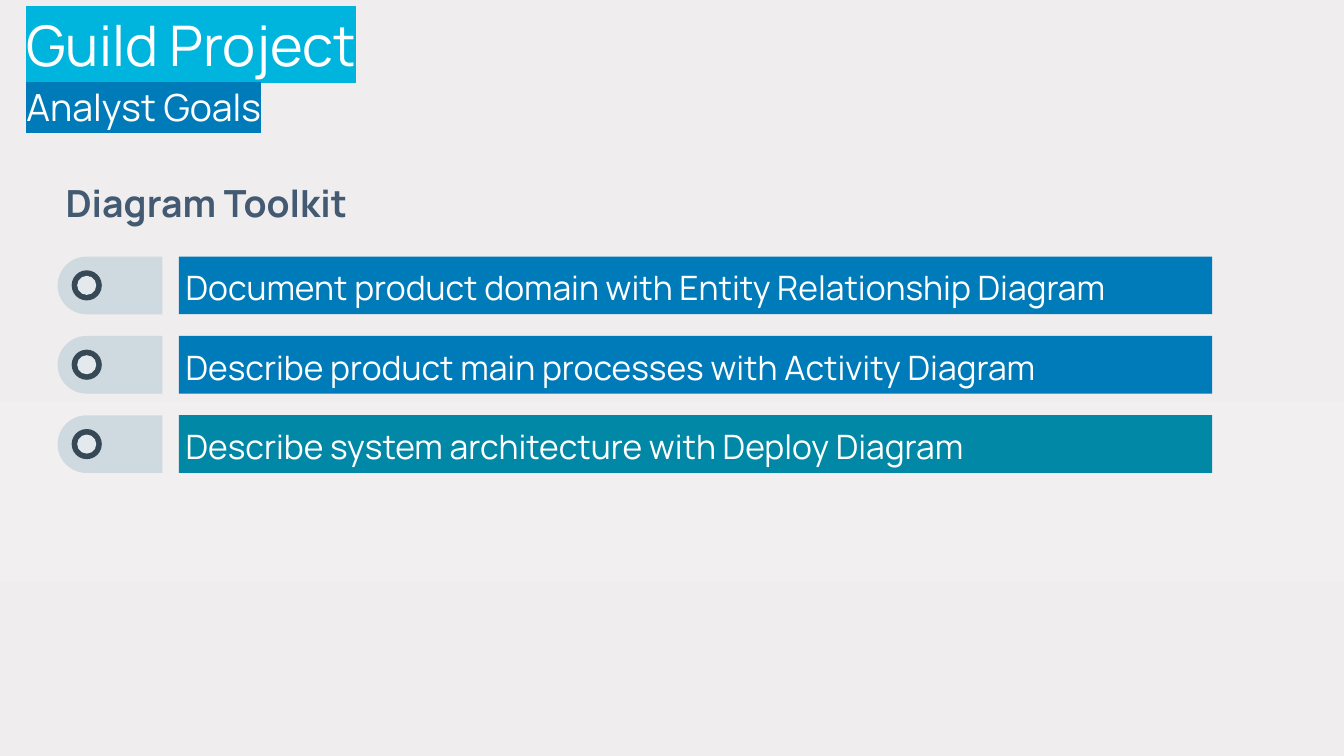
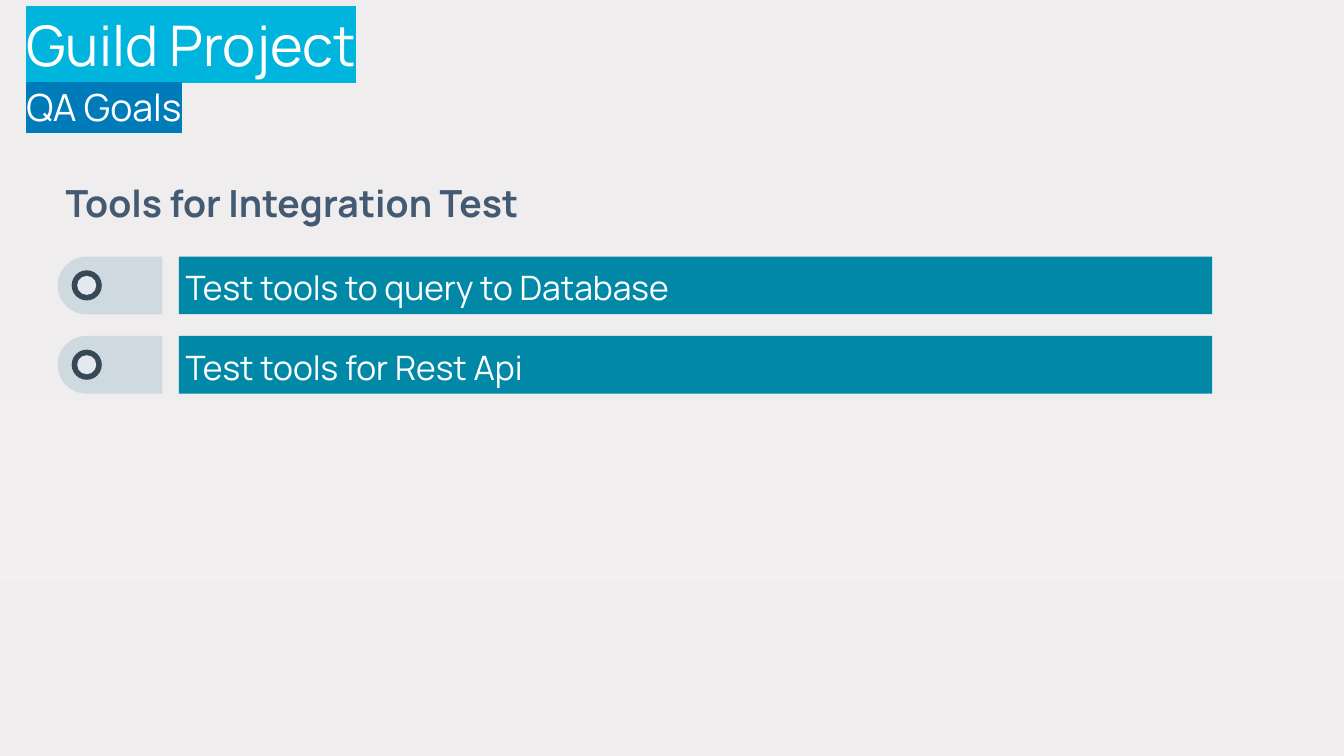
from dataclasses import dataclass

from lxml.etree import SubElement
from pptx import Presentation
from pptx.dml.color import RGBColor
from pptx.enum.shapes import MSO_SHAPE
from pptx.enum.text import MSO_ANCHOR, MSO_AUTO_SIZE, PP_ALIGN
from pptx.oxml.ns import qn
from pptx.util import Cm, Pt


@dataclass(frozen=True)
class Theme:
    font: str = "Manrope"
    white: str = "FFFFFF"
    cyan: str = "00B5DD"
    blue: str = "007BB9"
    teal: str = "0088A6"
    slate: str = "435A72"
    pill: str = "CFD9E0"
    ring: str = "374957"
    core: str = "E3E9ED"
    backdrop: tuple = ((0, "EFEDEE"), (53, "F1EFF0"), (77, "EFEDEE"), (100, "EFEBEC"))
    title_size: int = 30
    heading_size: int = 20
    goal_size: int = 18


THEME = Theme()

ROW_TOP, ROW_PITCH, ROW_HEIGHT = 4.85, 1.5, 1.09
PILL_LEFT, PILL_LENGTH = 1.09, 1.98
RING_CENTER, RING_SIZE, CORE_SIZE = 1.64, 0.57, 0.36
BAR_LEFT, BAR_WIDTH = 3.38, 19.53
LABEL_LEFT, LABEL_WIDTH = 3.51, 19

SLIDES = [
    ("Analyst Goals", "Diagram Toolkit", [
        ("Document product domain with Entity Relationship Diagram", THEME.blue),
        ("Describe product main processes with Activity Diagram", THEME.blue),
        ("Describe system architecture with Deploy Diagram", THEME.teal),
    ]),
    ("QA Goals", "Tools for Integration Test", [
        ("Test tools to query to Database", THEME.teal),
        ("Test tools for Rest Api", THEME.teal),
    ]),
]


def add_text(para, text, *, size, color, bold=False, highlight=None):
    span = para.add_run()
    span.text = text
    font = span.font
    font.name, font.size, font.bold = THEME.font, Pt(size), bold
    font.color.rgb = RGBColor.from_string(color)
    if highlight:
        properties = span._r.get_or_add_rPr()
        mark = SubElement(properties, qn("a:highlight"))
        SubElement(mark, qn("a:srgbClr"), val=highlight)
        properties.find(qn("a:solidFill")).addnext(mark)


def prepare_frame(frame, anchor, line_spacing):
    """Clear the margins of a text frame and return its first paragraph."""
    frame.margin_left = frame.margin_right = frame.margin_top = frame.margin_bottom = 0
    frame.word_wrap = True
    frame.auto_size = MSO_AUTO_SIZE.NONE
    frame.vertical_anchor = anchor
    para = frame.paragraphs[0]
    para.alignment = PP_ALIGN.LEFT
    para.line_spacing = line_spacing
    return para


class GoalDeck:
    def __init__(self, theme):
        self.theme = theme
        self.deck = Presentation()
        self.deck.slide_width, self.deck.slide_height = Cm(25.4), Cm(14.29)
        self.page = None
        self.paint_backdrop()

    def paint_backdrop(self):
        master = self.deck.slide_master
        fill = master.background.fill
        fill.gradient()
        fill.gradient_angle = 270
        stops = master.element.find(".//" + qn("p:bg")).find(".//" + qn("a:gsLst"))
        for stop in list(stops):
            stops.remove(stop)
        for percent, color in self.theme.backdrop:
            stop = SubElement(stops, qn("a:gs"), pos=str(percent * 1000))
            SubElement(stop, qn("a:srgbClr"), val=color)

    def add_page(self):
        self.page = self.deck.slides.add_slide(self.deck.slide_layouts.get_by_name("Title Only"))

    def add_title(self, title, subtitle):
        box = self.page.shapes.title
        box.left, box.top, box.width, box.height = Cm(0.5), Cm(0), Cm(14.81), Cm(2.82)
        para = prepare_frame(box.text_frame, MSO_ANCHOR.TOP, 1.15)
        theme = self.theme
        add_text(para, title, size=theme.title_size, color=theme.white, highlight=theme.cyan)
        para.add_line_break()
        add_text(para, subtitle, size=theme.heading_size, color=theme.white, highlight=theme.blue)

    def add_label(self, text, left, top, width, **text_format):
        box = self.page.shapes.add_textbox(Cm(left), Cm(top), Cm(width), Cm(ROW_HEIGHT))
        para = prepare_frame(box.text_frame, MSO_ANCHOR.MIDDLE, 1.1)
        add_text(para, text, **text_format)

    def add_block(self, shapes, kind, center_x, center_y, width, height, color):
        shape = shapes.add_shape(kind, Cm(center_x - width / 2), Cm(center_y - height / 2),
                                 Cm(width), Cm(height))
        shape.shadow.inherit = False
        shape.fill.solid()
        shape.fill.fore_color.rgb = RGBColor.from_string(color)
        shape.line.fill.background()
        return shape

    def add_marker(self, center_y):
        """Draw the pill, rounded on its left, with a ring inside."""
        shapes = self.page.shapes.add_group_shape().shapes
        pill = self.add_block(shapes, MSO_SHAPE.ROUND_2_SAME_RECTANGLE,
                              PILL_LEFT + PILL_LENGTH / 2, center_y,
                              ROW_HEIGHT, PILL_LENGTH, self.theme.pill)
        pill.adjustments[0] = 0.5
        pill.rotation = 270
        for size, color in ((RING_SIZE, self.theme.ring), (CORE_SIZE, self.theme.core)):
            self.add_block(shapes, MSO_SHAPE.OVAL, RING_CENTER, center_y, size, size, color)

    def add_goal(self, row, text, color):
        top = ROW_TOP + row * ROW_PITCH
        center_y = top + ROW_HEIGHT / 2
        self.add_block(self.page.shapes, MSO_SHAPE.RECTANGLE, BAR_LEFT + BAR_WIDTH / 2,
                       center_y, BAR_WIDTH, ROW_HEIGHT, color)
        self.add_label(text, LABEL_LEFT, top, LABEL_WIDTH,
                       size=self.theme.goal_size, color=self.theme.white)
        self.add_marker(center_y)


def main():
    builder = GoalDeck(THEME)
    for subtitle, heading, goals in SLIDES:
        builder.add_page()
        builder.add_title("Guild Project", subtitle)
        builder.add_label(heading, 1.24, 3.25, 16.6,
                          size=THEME.heading_size, color=THEME.slate, bold=True)
        for row, (text, color) in enumerate(goals):
            builder.add_goal(row, text, color)
    builder.deck.save("out.pptx")


if __name__ == "__main__":
    main()
